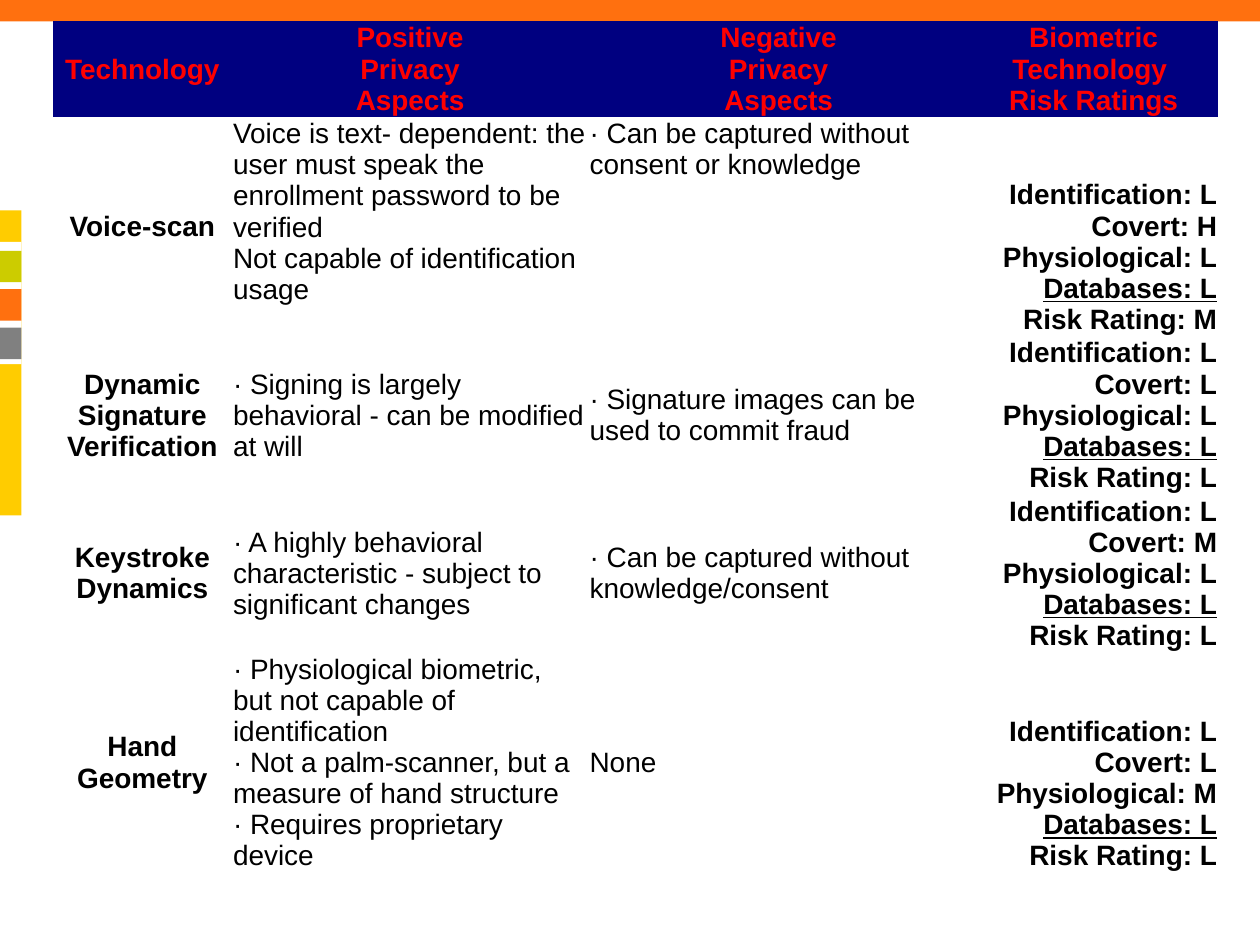
import pptx
import pptx.util
import pptx.dml.color
import pptx.enum.shapes
import pptx.enum.text

WIDTH, HEIGHT = 10, 7.5
STRIPE = 0.17 / WIDTH  # thickness of the side marks, as a share of the width
COLORS = {
    "yellow": "FFCC00", "white": "FFFFFF", "orange": "FF700F", "lime": "CCCC00",
    "gray": "808080", "navy": "000080", "red": "FF0000", "black": "000000",
}
ALIGN = pptx.enum.text.PP_ALIGN
ANCHOR = pptx.enum.text.MSO_ANCHOR

# Table grid in inches
COLUMNS = [1.42, 2.83, 3.02, 1.98]
ROWS = [0.75, 1.74, 1.25, 1.25, 1.75]
NO_GRID_STYLE = "{2D5ABB26-0587-4C30-8999-92F81FD0307C}"

HEADERS = ["Technology", "Positive\nPrivacy\nAspects", "Negative\nPrivacy\nAspects",
           "Biometric Technology \nRisk Ratings"]
# Technology, positives, negatives, then the levels for identification, covert,
# physiological, databases and overall risk
TECHNOLOGIES = [
    ("Voice-scan",
     "Voice is text- dependent: the user must speak the enrollment password to be verified\n"
     "Not capable of identification usage",
     "· Can be captured without consent or knowledge", "LHLLM"),
    ("Dynamic Signature Verification",
     "· Signing is largely behavioral - can be modified at will",
     "· Signature images can be used to commit fraud", "LLLLL"),
    ("Keystroke Dynamics",
     "· A highly behavioral characteristic - subject to significant changes",
     "· Can be captured without knowledge/consent", "LMLLL"),
    ("Hand Geometry",
     "· Physiological biometric, but not capable of identification\n"
     "· Not a palm-scanner, but a measure of hand structure\n"
     "· Requires proprietary device",
     "None", "LLMLL"),
]
RATINGS = ["Identification", "Covert", "Physiological", "Databases", "Risk Rating"]


def color(name):
    return pptx.dml.color.RGBColor.from_string(COLORS[name])


def across(share):
    return pptx.util.Inches(share * WIDTH)


def down(share):
    return pptx.util.Inches(share * HEIGHT)


def add_block(page, top, width, height, fill):
    """Plain rectangle from the left edge; all lengths are shares of the slide."""
    box = page.shapes.add_shape(pptx.enum.shapes.MSO_SHAPE.RECTANGLE,
                                0, down(top), across(width), down(height))
    box.shadow.inherit = False
    box.fill.solid()
    box.fill.fore_color.rgb = color(fill)
    box.line.fill.background()


def add_side_marks(page):
    add_block(page, 1.67 / HEIGHT, STRIPE, 2.42 / HEIGHT, "yellow")
    add_block(page, 1.92 / HEIGHT, STRIPE, 0.97 / HEIGHT, "white")
    add_block(page, 0, 1, 0.17 / HEIGHT, "orange")
    for index, fill in enumerate(["lime", "orange", "gray"]):
        add_block(page, (1.99 + index * 0.305) / HEIGHT, STRIPE, 0.25 / HEIGHT, fill)


def fill_cell(cell, lines, align, anchor, ink="black", bold=False, back=None, underlined=()):
    """Write lines as runs of one paragraph, with a break between them."""
    cell.margin_left = cell.margin_right = pptx.util.Inches(0.01)
    cell.margin_top = cell.margin_bottom = pptx.util.Inches(0.01)
    cell.vertical_anchor = anchor
    if back:
        cell.fill.solid()
        cell.fill.fore_color.rgb = color(back)
    else:
        cell.fill.background()
    para = cell.text_frame.paragraphs[0]
    para.alignment = align
    for index, line in enumerate(lines):
        if index:
            para.add_line_break()
        span = para.add_run()
        span.text = line
        span.font.name = "Arial"
        span.font.size = pptx.util.Pt(16)
        span.font.bold = bold
        span.font.underline = index in underlined
        span.font.color.rgb = color(ink)


def add_grid(page):
    frame = page.shapes.add_table(len(ROWS), len(COLUMNS),
                                  pptx.util.Inches(0.42), pptx.util.Inches(0.17),
                                  pptx.util.Inches(sum(COLUMNS)), pptx.util.Inches(sum(ROWS)))
    table = frame.table
    table.first_row = table.horz_banding = False
    table._tbl.tblPr[0].text = NO_GRID_STYLE
    for column, width in zip(table.columns, COLUMNS):
        column.width = pptx.util.Inches(width)
    for row, height in zip(table.rows, ROWS):
        row.height = pptx.util.Inches(height)
    return table


def add_privacy_table(page):
    table = add_grid(page)
    for column, header in enumerate(HEADERS):
        fill_cell(table.cell(0, column), header.split("\n"), ALIGN.CENTER, ANCHOR.MIDDLE,
                  ink="red", bold=True, back="navy")
    for row, (name, positive, negative, levels) in enumerate(TECHNOLOGIES, start=1):
        fill_cell(table.cell(row, 0), [name], ALIGN.CENTER, ANCHOR.MIDDLE, bold=True)
        anchor = ANCHOR.TOP if row == 1 else ANCHOR.MIDDLE
        for column, aspects in enumerate([positive, negative], start=1):
            fill_cell(table.cell(row, column), aspects.split("\n"), ALIGN.LEFT, anchor)
        ratings = [f"{label}: {level}" for label, level in zip(RATINGS, levels)]
        fill_cell(table.cell(row, 3), ratings, ALIGN.RIGHT, ANCHOR.BOTTOM, bold=True,
                  underlined=[RATINGS.index("Databases")])


def main():
    deck = pptx.Presentation()
    deck.slide_width, deck.slide_height = across(1), down(1)
    page = deck.slides.add_slide(deck.slide_layouts[6])
    add_side_marks(page)
    add_privacy_table(page)
    deck.save("out.pptx")


if __name__ == "__main__":
    main()
